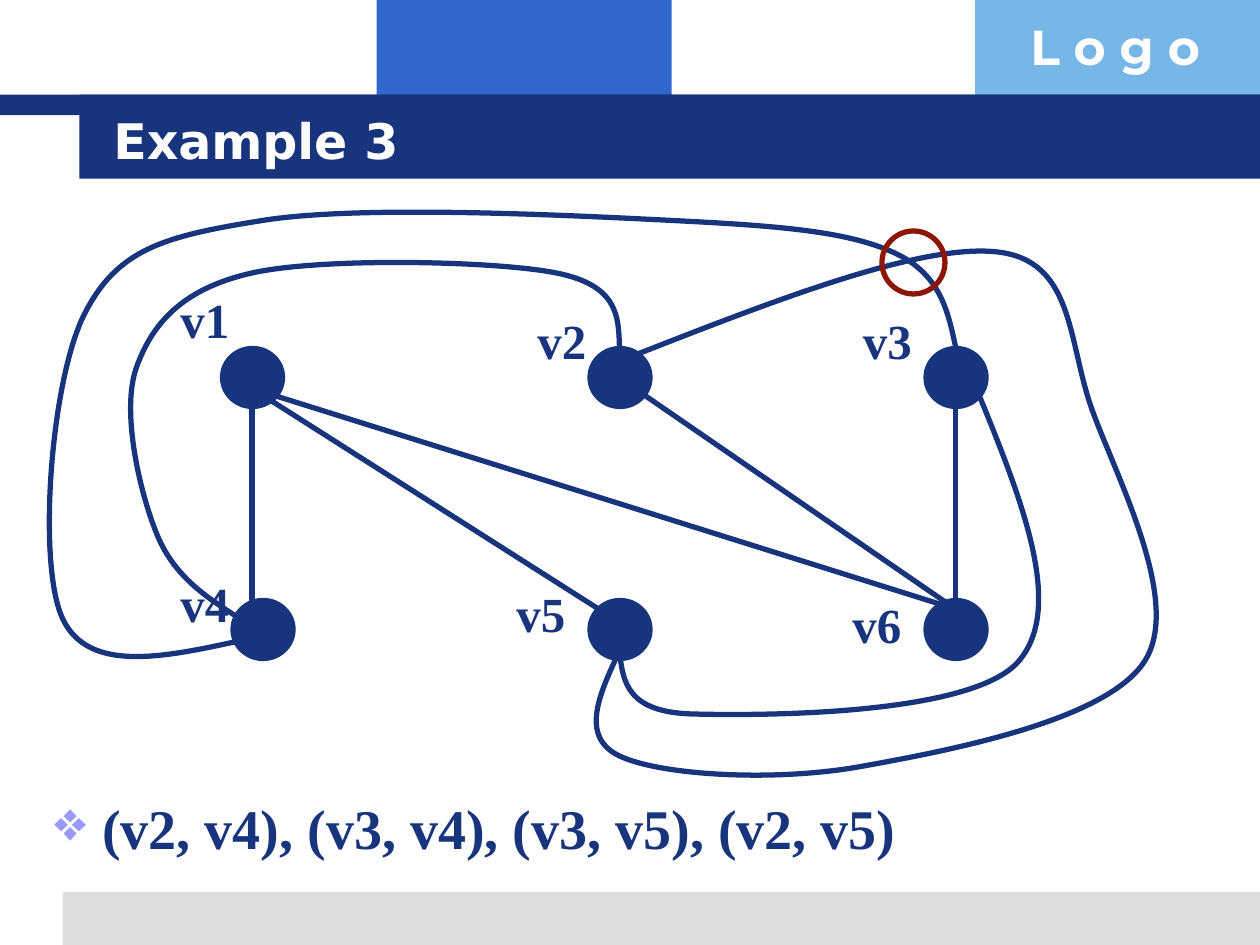
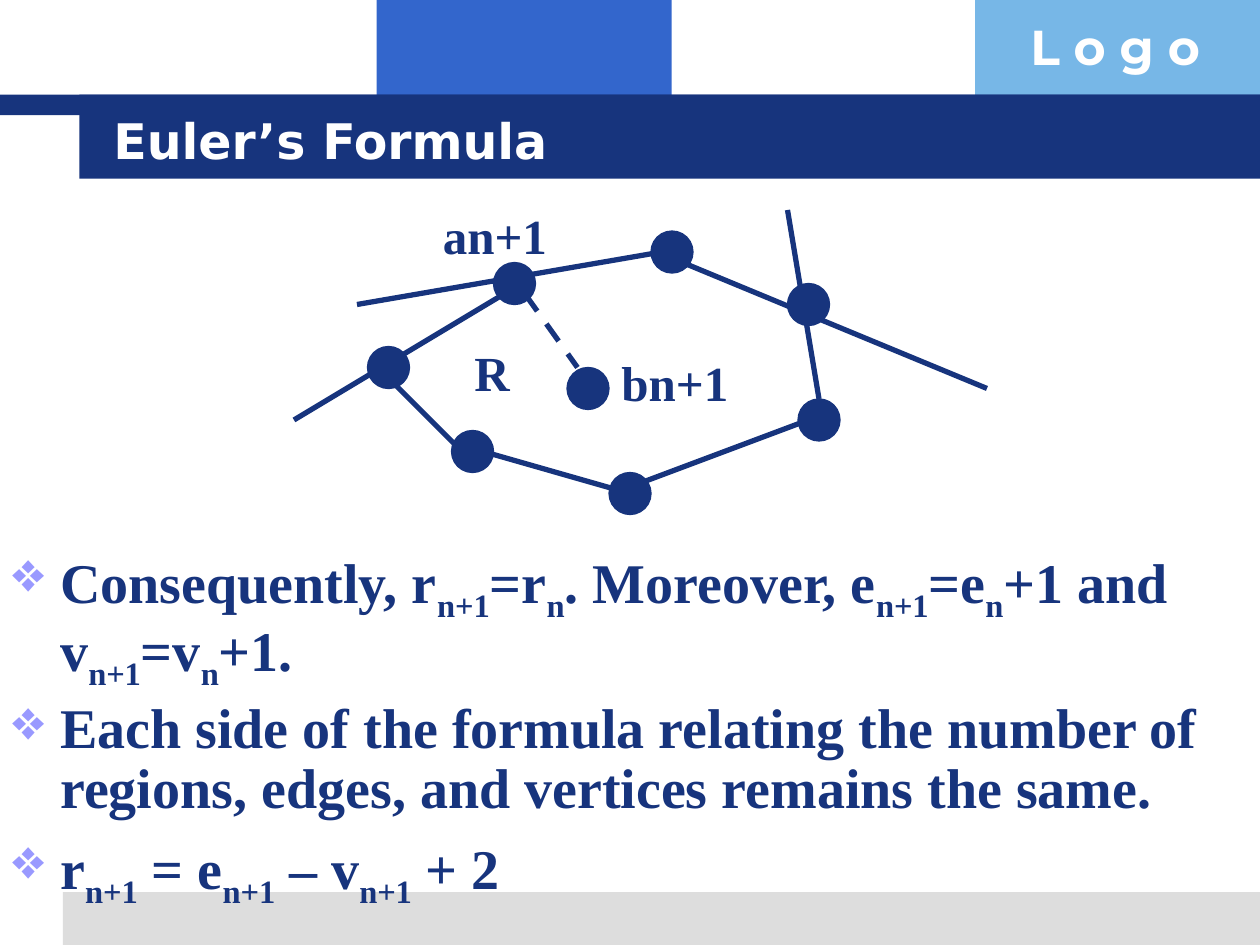
from dataclasses import dataclass

from lxml import etree
from pptx import Presentation
from pptx import util as u
from pptx.dml.color import RGBColor
from pptx.enum import dml, shapes, text
from pptx.oxml import ns

NAVY = RGBColor(0x17, 0x34, 0x7D)
BLUE = RGBColor(0x33, 0x66, 0xCC)
SKY = RGBColor(0x77, 0xB7, 0xE7)
GREY = RGBColor(0xDD, 0xDD, 0xDD)
WHITE = RGBColor(0xFF, 0xFF, 0xFF)
LILAC = RGBColor(0x99, 0x99, 0xFF)
DARK_RED = RGBColor(0x8C, 0x16, 0x02)

SERIF, SANS, LOGO_FONT = "Times New Roman", "DejaVu Sans", "Montserrat"
WIDTH, HEIGHT = u.Inches(10), u.Inches(7.5)
COLUMNS, ROWS = 120, 90
CELL = WIDTH // COLUMNS
LABEL_HEIGHT = 6.8


@dataclass
class Box:
    left: float
    top: float
    width: float
    height: float

    def point(self, column, row):
        return round((self.left + column) * CELL), round((self.top + row) * CELL)

    def area(self, column, row, columns, rows):
        return (*self.point(column, row), round(columns * CELL), round(rows * CELL))

    def share(self, left, top, width, height):
        return self.area(left * self.width, top * self.height,
                         width * self.width, height * self.height)


PAGE = Box(0, 0, COLUMNS, ROWS)


def add_bullet(paragraph):
    properties = paragraph._p.get_or_add_pPr()
    properties.set("marL", str(u.Inches(0.38)))
    properties.set("indent", str(-u.Inches(0.38)))
    color = etree.SubElement(properties, ns.qn("a:buClr"))
    etree.SubElement(color, ns.qn("a:srgbClr")).set("val", str(LILAC))
    etree.SubElement(properties, ns.qn("a:buChar")).set("char", "❖")


def write(holder, *lines, size=28, font=SERIF, color=NAVY, bullet=False,
          spacing=None, before=0, anchor=text.MSO_ANCHOR.TOP):
    frame = holder.text_frame
    frame.word_wrap = True
    frame.auto_size = text.MSO_AUTO_SIZE.NONE
    frame.vertical_anchor = anchor
    for number, line in enumerate(lines):
        paragraph = frame.add_paragraph() if number else frame.paragraphs[0]
        paragraph.alignment = text.PP_ALIGN.LEFT
        paragraph.space_before = u.Pt(before if number else 0)
        if spacing:
            paragraph.line_spacing = spacing
        if bullet:
            add_bullet(paragraph)
        for index, piece in enumerate(line.split("|")):
            run = paragraph.add_run()
            run.text = piece
            run.font.size = u.Pt(size)
            run.font.name = font
            run.font.bold = True
            run.font.color.rgb = color
            if index % 2:
                run._r.get_or_add_rPr().set("baseline", "-25000")


def add_block(slide, area, color):
    block = slide.shapes.add_shape(shapes.MSO_SHAPE.RECTANGLE, *area)
    block.shadow.inherit = False
    block.fill.solid()
    block.fill.fore_color.rgb = color
    block.line.fill.background()


def add_oval(slide, area, fill=NAVY, line=NAVY, weight=0.75):
    oval = slide.shapes.add_shape(shapes.MSO_SHAPE.OVAL, *area)
    oval.shadow.inherit = False
    if fill is None:
        oval.fill.background()
    else:
        oval.fill.solid()
        oval.fill.fore_color.rgb = fill
    oval.line.color.rgb = line
    oval.line.width = u.Pt(weight)


def add_edge(slide, box, start_column, start_row, end_column, end_row, dashed=False):
    edge = slide.shapes.add_connector(
        shapes.MSO_CONNECTOR.STRAIGHT,
        *box.point(start_column, start_row), *box.point(end_column, end_row))
    edge.line.color.rgb = NAVY
    edge.line.width = u.Pt(3)
    if dashed:
        edge.line.dash_style = dml.MSO_LINE.DASH
    etree.SubElement(edge._element.spPr, ns.qn("a:effectLst"))


def spline_points(anchors):
    def shift(point, step, sign):
        return point[0] + sign * step[0], point[1] + sign * step[1]

    def middle(first, second):
        return (first[0] + second[0]) / 2, (first[1] + second[1]) / 2

    steps = [((after[0] - before[0]) / 6, (after[1] - before[1]) / 6)
             for before, after in zip(anchors, anchors[2:])]
    arrivals = [shift(point, step, -1) for point, step in zip(anchors[1:], steps)]
    departures = [shift(point, step, 1) for point, step in zip(anchors[1:], steps)]
    departures.insert(0, middle(anchors[0], arrivals[0]))
    arrivals.append(middle(departures[-1], anchors[-1]))
    return [point for trio in zip(departures, arrivals, anchors[1:]) for point in trio]


def add_curve(slide, box, anchors):
    builder = slide.shapes.build_freeform(*box.point(*anchors[0]))
    builder.add_line_segments([box.point(*point) for point in spline_points(anchors)],
                              close=False)
    curve = builder.convert_to_shape()
    curve.shadow.inherit = False
    curve.fill.background()
    curve.line.color.rgb = NAVY
    curve.line.width = u.Pt(3)
    segments = list(curve._element.iter(ns.qn("a:lnTo")))
    outline = segments[0].getparent()
    for start in range(0, len(segments), 3):
        bend = etree.SubElement(outline, ns.qn("a:cubicBezTo"))
        for segment in segments[start:start + 3]:
            bend.append(segment[0])
            outline.remove(segment)


def add_label(slide, box, caption, column, row, columns):
    label = slide.shapes.add_textbox(*box.area(column, row, columns, LABEL_HEIGHT))
    write(label, caption)


def add_bullets(slide, box, *lines, spacing=None):
    body = slide.shapes.add_textbox(*box.share(0, 0, 1, 1))
    write(body, *lines, size=32, bullet=True, spacing=spacing, before=8)


def add_page(deck, heading):
    slide = deck.slides.add_slide(deck.slide_layouts[5])
    bands = [
        ((0.299, 0, 0.234, 0.123), BLUE),
        ((0.774, 0, 0.226, 0.123), SKY),
        ((0.05, 0.944, 0.95, 0.056), GREY),
        ((0, 0.1, 1, 0.022), NAVY),
        ((0.063, 0.1, 0.937, 0.089), NAVY),
    ]
    for shares, color in bands:
        add_block(slide, PAGE.share(*shares), color)
    logo = slide.shapes.add_textbox(*PAGE.share(0.808, 0.011, 0.193, 0.076))
    write(logo, "L o g o", font=LOGO_FONT, color=WHITE)
    title = slide.shapes.title
    title.left, title.top, title.width, title.height = PAGE.share(0.08, 0.107, 0.853, 0.083)
    write(title, heading, font=SANS, color=WHITE, anchor=text.MSO_ANCHOR.MIDDLE)
    slide.shapes._spTree.append(title._element)
    return slide


def draw_crossing_graph(slide, box):
    edges = [(24, 19, 24, 41), (24, 19, 57, 40), (24, 19, 91, 40),
             (59, 18, 91, 40), (91, 19, 91, 40)]
    vertices = {
        "v1": ((21, 15), (16, 9)),
        "v2": ((56, 15), (50, 11)),
        "v3": ((88, 15), (81, 11)),
        "v4": ((22, 39), (16, 36)),
        "v5": ((56, 39), (48, 37)),
        "v6": ((88, 39), (80, 38)),
    }
    detours = [
        [(59, 15), (53, 8), (24, 8), (13, 17), (15, 33), (23, 41)],
        [(91, 15), (85, 6), (64, 3), (25, 3), (8, 12), (6, 41), (23, 43)],
        [(59, 44), (66, 50), (97, 45), (93, 19)],
        [(59, 44), (59, 54), (82, 55), (109, 45), (104, 21), (95, 6), (60, 16)],
    ]
    for edge in edges:
        add_edge(slide, box, *edge)
    for caption, (vertex, label) in vertices.items():
        add_oval(slide, box.area(*vertex, 6.1, 5.9))
        add_label(slide, box, caption, *label, 9)
    for anchors in detours:
        add_curve(slide, box, anchors)
    add_oval(slide, box.area(84, 4, 6, 6), fill=None, line=DARK_RED, weight=3)


def draw_region_graph(slide, box):
    edges = [(51, 2, 54, 20), (41, 7, 70, 19), (10, 11, 39, 6), (24, 10, 4, 22),
             (13, 18, 21, 26), (22, 25, 36, 29), (37, 28, 53, 22)]
    vertices = [(23, 7), (11, 15), (19, 23), (34, 27), (38, 4), (51, 9), (52, 20), (30, 17)]
    labels = [("R", 20, 14, 6.1), ("an+1", 17, 1, 14), ("bn+1", 34, 15, 14)]
    for edge in edges:
        add_edge(slide, box, *edge)
    add_edge(slide, box, 26, 10, 31, 17, dashed=True)
    for vertex in vertices:
        add_oval(slide, box.area(*vertex, 4, 4))
    for label in labels:
        add_label(slide, box, *label)


def build_example(deck):
    slide = add_page(deck, "Example 3")
    draw_crossing_graph(slide, Box(0, 18, 120, 57))
    add_bullets(slide, Box(4, 75, 108, 11), "(v2, v4), (v3, v4), (v3, v5), (v2, v5)")


def build_formula(deck):
    slide = add_page(deck, "Euler’s Formula")
    add_bullets(
        slide, Box(0, 51.6, 117, 38.4),
        "Consequently, r|n+1|=r|n|. Moreover, e|n+1|=e|n|+1 and v|n+1|=v|n|+1.",
        "Each side of the formula relating the number of regions, edges, "
        "and vertices remains the same.",
        "r|n+1| = e|n+1| – v|n+1| + 2",
        spacing=0.9)
    draw_region_graph(slide, Box(24, 18, 72, 32))


def main():
    deck = Presentation()
    deck.slide_width, deck.slide_height = WIDTH, HEIGHT
    build_example(deck)
    build_formula(deck)
    deck.save("out.pptx")


if __name__ == "__main__":
    main()
